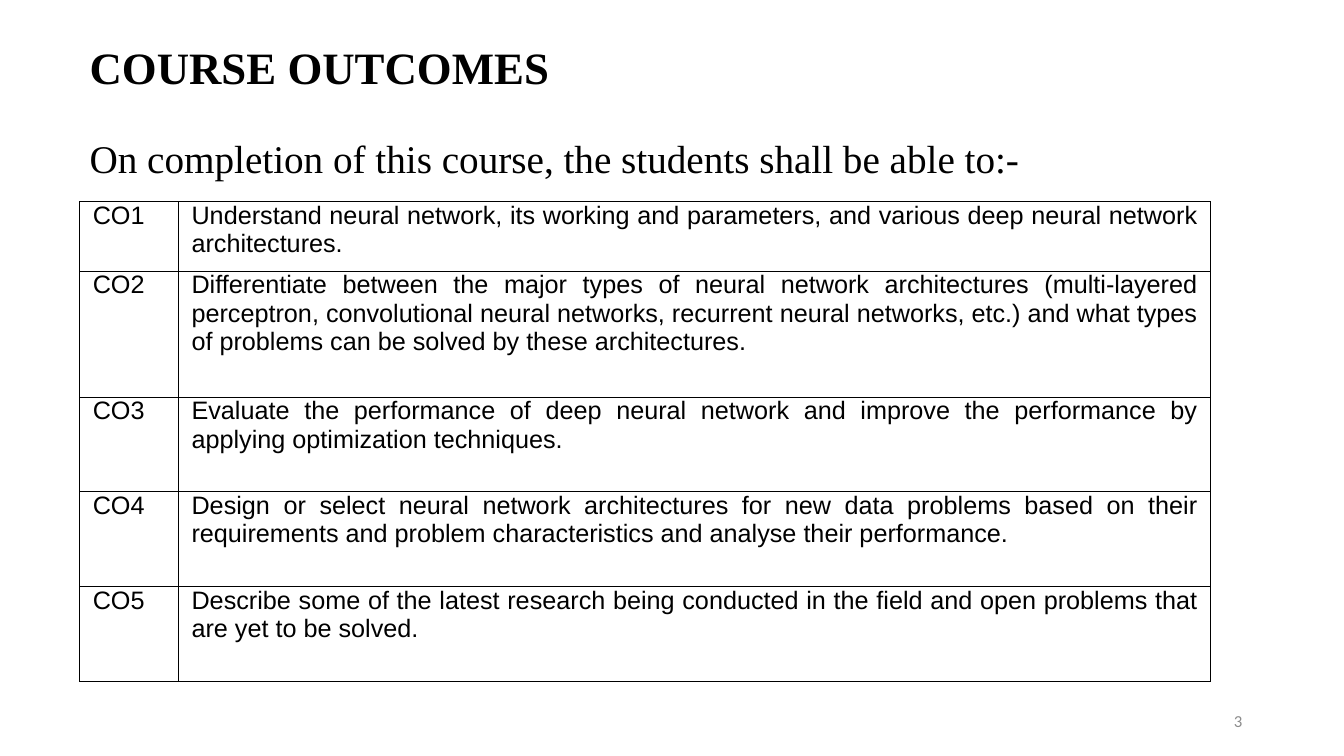
import pptx
import pptx.util
import pptx.dml.color
import pptx.enum.text
import pptx.oxml
import pptx.oxml.ns

Inches, Pt = pptx.util.Inches, pptx.util.Pt
ALIGN = pptx.enum.text.PP_ALIGN
ANCHOR = pptx.enum.text.MSO_ANCHOR
BLACK, GREY = "000000", "8C8C8C"

OUTCOMES = [
    "Understand neural network, its working and parameters, and various deep neural network architectures.",
    "Differentiate between the major types of neural network architectures (multi-layered perceptron, "
    "convolutional neural networks, recurrent neural networks, etc.) and what types of problems can be "
    "solved by these architectures.",
    "Evaluate the performance of deep neural network and improve the performance by applying "
    "optimization techniques.",
    "Design or select neural network architectures for new data problems based on their requirements "
    "and problem characteristics and analyse their performance.",
    "Describe some of the latest research being conducted in the field and open problems that are yet "
    "to be solved.",
]
COLUMN_WIDTHS = [0.98, 10.24]
ROW_HEIGHTS = [0.69, 1.25, 0.94, 0.94, 0.94]


def color(value):
    return pptx.dml.color.RGBColor.from_string(value)


def write(tf, text, font, size, fill=BLACK, bold=False, align=ALIGN.LEFT):
    tf.text = text
    p = tf.paragraphs[0]
    p.alignment = align
    r = p.runs[0]
    r.font.name, r.font.size, r.font.bold = font, Pt(size), bold
    r.font.color.rgb = color(fill)
    return p


def add_text(s, box, text, font, size, anchor=ANCHOR.TOP, wrap=True, **style):
    tf = s.shapes.add_textbox(*map(Inches, box)).text_frame
    tf.word_wrap = wrap
    tf.vertical_anchor = anchor
    return write(tf, text, font, size, **style)


def add_borders(cell, line_color, width):
    tc_pr = cell._tc.get_or_add_tcPr()
    for index, side in enumerate(("lnL", "lnR", "lnT", "lnB")):
        tc_pr.insert(index, pptx.oxml.parse_xml(
            f'<a:{side} {pptx.oxml.ns.nsdecls("a")} w="{Pt(width)}"><a:solidFill>'
            f'<a:srgbClr val="{line_color}"/></a:solidFill></a:{side}>'))


def add_heading(s, left, top):
    p = add_text(s, (left, top, 12.16, 0.59), "COURSE OUTCOMES", "Times New Roman", 32,
                 anchor=ANCHOR.BOTTOM, bold=True)
    p.line_spacing = 0.9
    add_text(s, (left, top + 0.89, 9.51, 0.57),
             "On completion of this course, the students shall be able to:-",
             "Times New Roman", 28, wrap=False)


def add_outcomes_table(s, left, top):
    size = (sum(COLUMN_WIDTHS), sum(ROW_HEIGHTS))
    table = s.shapes.add_table(len(OUTCOMES), len(COLUMN_WIDTHS),
                               *map(Inches, (left, top, *size))).table
    table.first_row = table.horz_banding = False
    for column, width in zip(table.columns, COLUMN_WIDTHS):
        column.width = Inches(width)
    for number, (row, height, outcome) in enumerate(zip(table.rows, ROW_HEIGHTS, OUTCOMES), 1):
        row.height = Inches(height)
        contents = ((f"CO{number}", ALIGN.LEFT), (outcome, ALIGN.JUSTIFY))
        for cell, (text, align) in zip(row.cells, contents):
            cell.margin_left = cell.margin_right = Inches(0.13)
            cell.margin_top = cell.margin_bottom = 0
            cell.fill.background()
            add_borders(cell, BLACK, 1)
            write(cell.text_frame, text, "Arial", 18, align=align)


def add_page_number(s, box):
    add_text(s, box, "3", "Calibri", 12, anchor=ANCHOR.MIDDLE, fill=GREY, align=ALIGN.RIGHT)


def main():
    prs = pptx.Presentation()
    prs.slide_width, prs.slide_height = Inches(13.33), Inches(7.5)
    s = prs.slides.add_slide(prs.slide_layouts[6])
    # Title and lead-in
    add_heading(s, 0.79, 0.39)
    # Numbered outcomes
    add_outcomes_table(s, 0.79, 2)
    # Footer
    add_page_number(s, (9.42, 6.95, 3, 0.4))
    prs.save("out.pptx")


if __name__ == "__main__":
    main()
